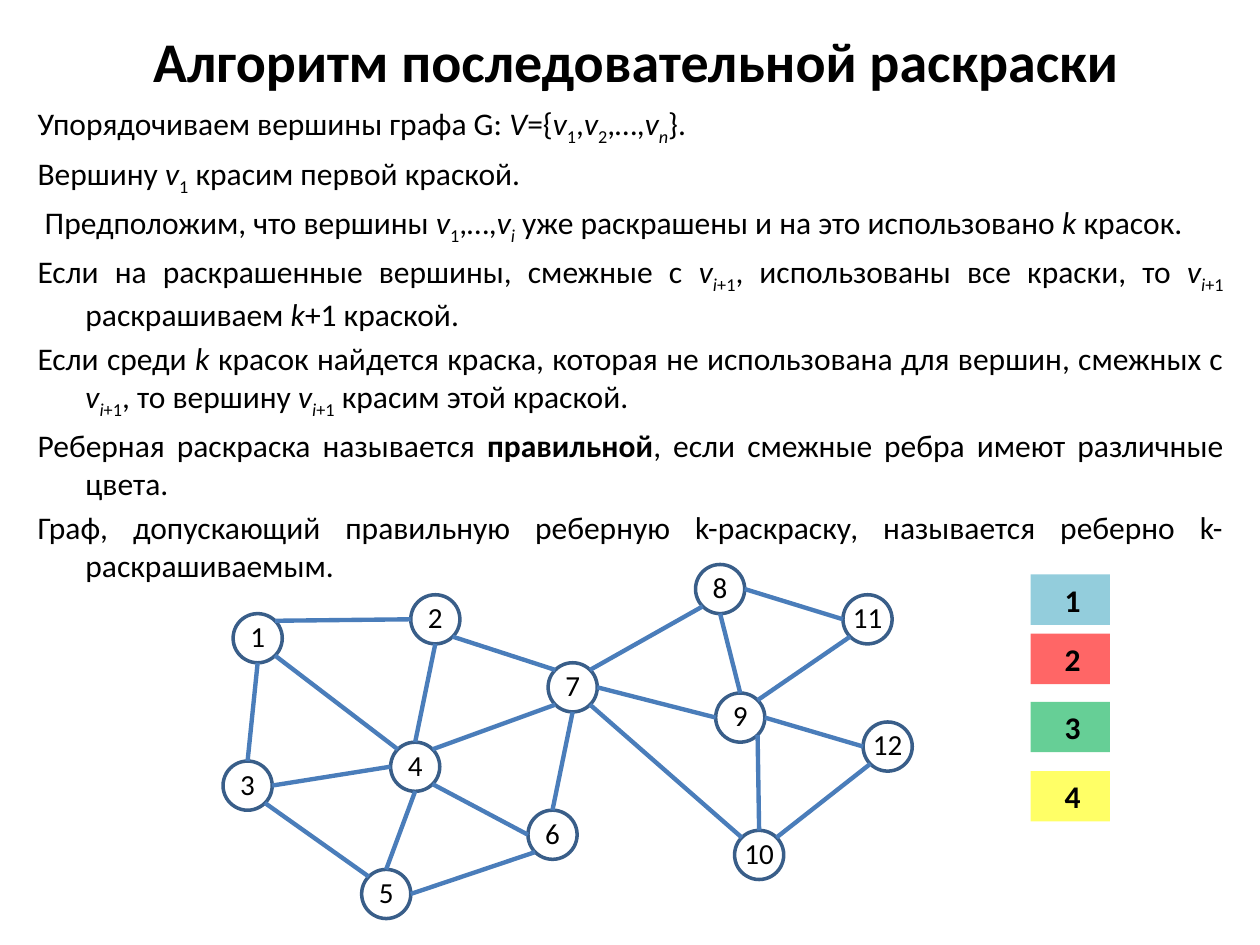
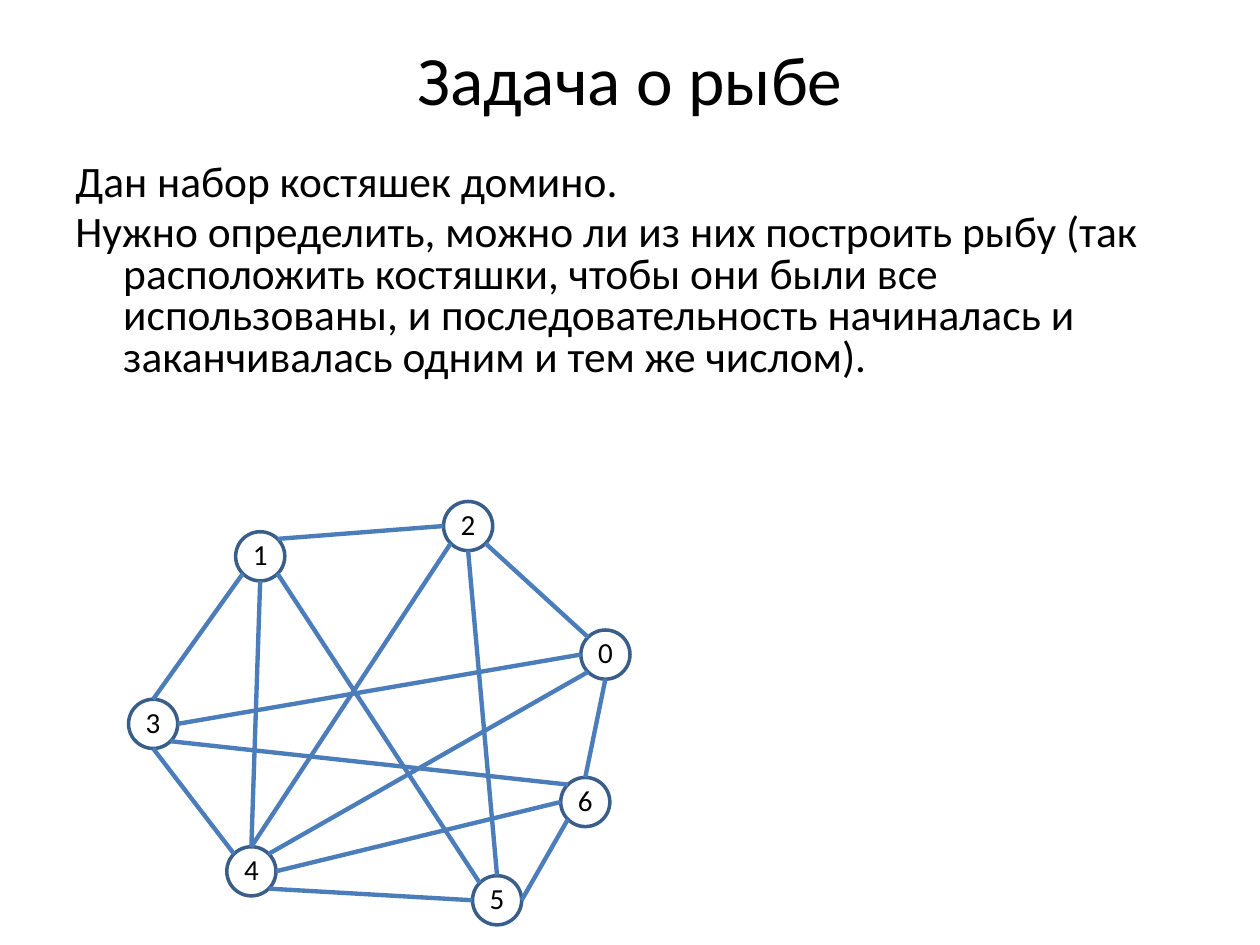
from dataclasses import dataclass
from math import cos, radians, sin

from lxml.etree import SubElement
from pptx import Presentation
from pptx.dml.color import RGBColor
from pptx.enum.shapes import MSO_CONNECTOR as Link, MSO_SHAPE as Form
from pptx.enum.text import MSO_ANCHOR as Anchor, PP_ALIGN as Align
from pptx.oxml.ns import qn
from pptx.slide import Slide
from pptx.text.text import TextFrame
from pptx.util import Inches, Pt

FONT = "Calibri"
BLACK = RGBColor(0x00, 0x00, 0x00)
RING = RGBColor(0x39, 0x5E, 0x89)
EDGE = RGBColor(0x4A, 0x7D, 0xBA)
BLUE = RGBColor(0x4B, 0xAC, 0xC6)
RED = RGBColor(0xFF, 0x00, 0x00)
GREEN = RGBColor(0x00, 0xB0, 0x50)
YELLOW = RGBColor(0xFF, 0xFF, 0x00)

NODE = 0.39
HANG = 0.38
ANGLES = {"e": 0, "se": 45, "s": 90, "sw": 135, "w": 180, "nw": 225, "n": 270, "ne": 315}


@dataclass
class Box:
    left: float
    top: float
    width: float
    height: float


@dataclass
class Style:
    size: float
    bold: bool = False
    align: Align = Align.LEFT
    before: float = 0
    line: float = 1.0


@dataclass
class Node:
    name: str
    left: float
    top: float

    def port(self, side: str) -> tuple[int, int]:
        turn = radians(ANGLES[side])
        half = NODE / 2
        return (Inches(self.left + half + half * cos(turn)),
                Inches(self.top + half + half * sin(turn)))


@dataclass
class Swatch:
    name: str
    top: float
    color: RGBColor


def write(frame: TextFrame, lines: list[str], style: Style, hang: bool = False) -> None:
    frame.word_wrap = True
    for index, line in enumerate(lines):
        par = frame.add_paragraph() if index else frame.paragraphs[0]
        par.alignment = style.align
        par.line_spacing = style.line
        if index:
            par.space_before = Pt(style.before)
        if hang:
            props = par._p.get_or_add_pPr()
            props.set("marL", str(Inches(HANG)))
            props.set("indent", str(-Inches(HANG)))
        font = par.font
        font.name, font.size, font.bold = FONT, Pt(style.size), style.bold
        font.color.rgb = BLACK
        add_runs(par, line)


def add_runs(par, line: str) -> None:
    marks = {"*": False, "_": False, "#": False}
    text = ""
    for char in line + "\0":
        if char not in marks and char != "\0":
            text += char
            continue
        if text:
            run = par.add_run()
            run.text = text
            if marks["*"]:
                run.font.italic = True
            if marks["#"]:
                run.font.bold = True
            if marks["_"]:
                run._r.get_or_add_rPr().set("baseline", "-25000")
            text = ""
        if char in marks:
            marks[char] = not marks[char]


def add_text(slide: Slide, box: Box, lines: list[str], style: Style,
             anchor: Anchor = Anchor.TOP, hang: bool = False) -> None:
    shape = slide.shapes.add_textbox(Inches(box.left), Inches(box.top),
                                     Inches(box.width), Inches(box.height))
    shape.text_frame.vertical_anchor = anchor
    write(shape.text_frame, lines, style, hang)


def add_title(slide: Slide, left: float, top: float, text: str, size: float,
              bold: bool = False) -> None:
    add_text(slide, Box(left, top, 9, 0.64), [text],
             Style(size, bold, Align.CENTER), Anchor.MIDDLE)


def add_node(slide: Slide, node: Node) -> None:
    shape = slide.shapes.add_shape(Form.OVAL, Inches(node.left), Inches(node.top),
                                   Inches(NODE), Inches(NODE))
    shape.shadow.inherit = False
    shape.fill.background()
    shape.line.color.rgb = RING
    shape.line.width = Pt(2)
    frame = shape.text_frame
    frame.margin_left = frame.margin_right = frame.margin_top = frame.margin_bottom = 0
    frame.vertical_anchor = Anchor.MIDDLE
    write(frame, [node.name], Style(16.6, align=Align.CENTER, line=0.9))


def add_edge(slide: Slide, start: tuple[int, int], end: tuple[int, int]) -> None:
    line = slide.shapes.add_connector(Link.STRAIGHT, *start, *end)
    line.line.color.rgb = EDGE
    line.line.width = Pt(2.5)
    SubElement(line._element.spPr, qn("a:effectLst"))


def add_graph(slide: Slide, nodes: list[Node], edges: str) -> None:
    ports = {node.name + side: node.port(side) for node in nodes for side in ANGLES}
    for node in nodes:
        add_node(slide, node)
    for edge in edges.split():
        start, end = edge.split("-")
        add_edge(slide, ports[start], ports[end])


def add_swatch(slide: Slide, swatch: Swatch) -> None:
    shape = slide.shapes.add_shape(Form.RECTANGLE, Inches(8.18), Inches(swatch.top),
                                   Inches(0.63), Inches(0.4))
    shape.shadow.inherit = False
    shape.fill.solid()
    shape.fill.fore_color.rgb = swatch.color
    color = shape._element.spPr.find(qn("a:solidFill"))[0]
    SubElement(color, qn("a:alpha")).set("val", "60000")
    shape.line.fill.background()
    frame = shape.text_frame
    frame.margin_left = Inches(0.27)
    frame.vertical_anchor = Anchor.TOP
    write(frame, [swatch.name], Style(18, True))


RULES = [
    "Упорядочиваем вершины графа G: *V*={*v*_1_,*v*_2_,…,*v_n_*}.",
    "Вершину *v*_1_ красим первой краской.",
    " Предположим, что вершины *v*_1_,…,*v_i_* уже раскрашены и на это использовано* k *красок.",
    "Если на раскрашенные вершины, смежные с *v_i*+1_, использованы все краски, "
    "то *v_i*+1_ раскрашиваем* k*+1 краской.",
    "Если среди* k *красок найдется краска, которая не использована для вершин, "
    "смежных с *v_i*+1_, то вершину *v_i*+1_ красим этой краской.",
    "Реберная раскраска называется #правильной#, если смежные ребра имеют различные цвета.",
    "Граф, допускающий правильную реберную k-раскраску, называется реберно k-раскрашиваемым.",
]
TASK = [
    "Дан набор костяшек домино.",
    "Нужно определить, можно ли из них построить рыбу (так расположить костяшки, "
    "чтобы они были все использованы, и последовательность начиналась и "
    "заканчивалась одним и тем же числом).",
]
MAP = [
    Node("1", 1.85, 4.87), Node("2", 3.26, 4.72), Node("4", 3.1, 5.89),
    Node("3", 1.77, 6.04), Node("7", 4.35, 5.26), Node("6", 4.19, 6.43),
    Node("5", 2.87, 6.9), Node("8", 5.52, 4.48), Node("9", 5.68, 5.5),
    Node("10", 5.83, 6.59), Node("11", 6.69, 4.72), Node("12", 6.85, 5.73),
]
MAP_EDGES = """1s-3n 2s-4n 1se-4nw 3e-4w 4se-6w 4s-5n 3se-5nw 6sw-5e 2w-1ne 2se-7nw
    7sw-4ne 7s-6n 8sw-7ne 7e-9w 7se-10nw 9se-10n 8s-9n 12sw-10ne 9e-12w 11sw-9ne 11w-8e"""
TILES = [
    Node("1", 1.87, 4.22), Node("2", 3.52, 3.98), Node("4", 1.8, 6.72),
    Node("3", 1.02, 5.55), Node("0", 4.61, 5), Node("6", 4.45, 6.17),
    Node("5", 3.75, 6.95),
]
TILE_EDGES = """1sw-3n 2sw-4n 0w-3e 3s-4nw 4e-6w 4se-5w 1se-5nw 6sw-5e 2w-1ne 2se-0nw
    0sw-4ne 0s-6n 3se-6nw 1s-4n 2s-5n"""
LEGEND = [
    Swatch("1", 4.56, BLUE), Swatch("2", 5.03, RED),
    Swatch("3", 5.57, GREEN), Swatch("4", 6.12, YELLOW),
]


def draw_colors(slide: Slide) -> None:
    add_title(slide, 0.55, 0.16, "Алгоритм последовательной раскраски", 32, True)
    add_text(slide, Box(0.2, 0.78, 9.61, 3.34), RULES,
             Style(18, align=Align.JUSTIFY, before=3.6), hang=True)
    add_graph(slide, MAP, MAP_EDGES)
    for swatch in LEGEND:
        add_swatch(slide, swatch)


def draw_fish(slide: Slide) -> None:
    add_title(slide, 0.5, 0.3, "Задача о рыбе", 39.6)
    add_text(slide, Box(0.5, 1.25, 9, 1.95), TASK,
             Style(24.8, before=5, line=0.8), hang=True)
    add_graph(slide, TILES, TILE_EDGES)


def main() -> None:
    deck = Presentation()
    deck.slide_width, deck.slide_height = Inches(10), Inches(7.5)
    for draw in (draw_colors, draw_fish):
        draw(deck.slides.add_slide(deck.slide_layouts[6]))
    deck.save("out.pptx")


if __name__ == "__main__":
    main()
